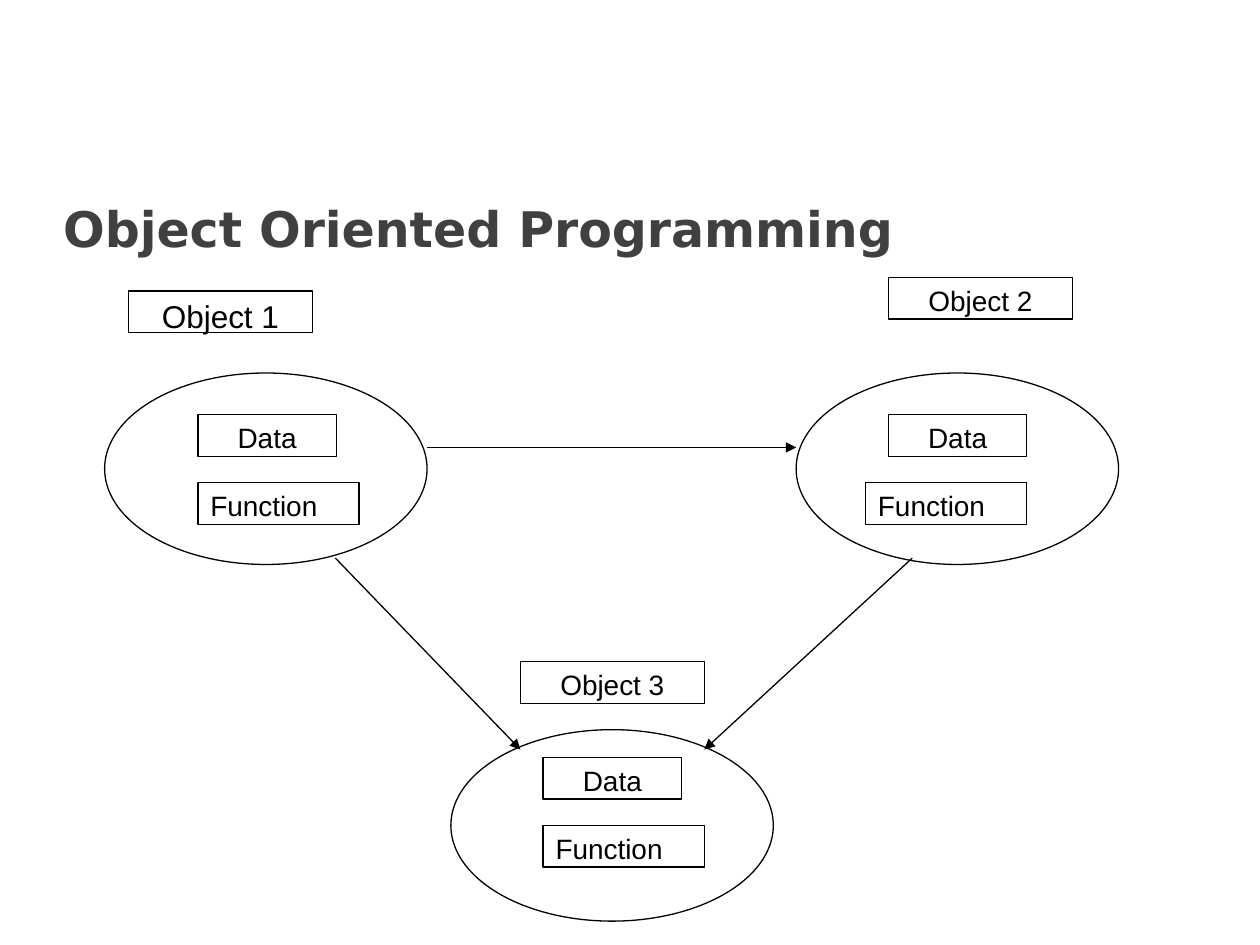
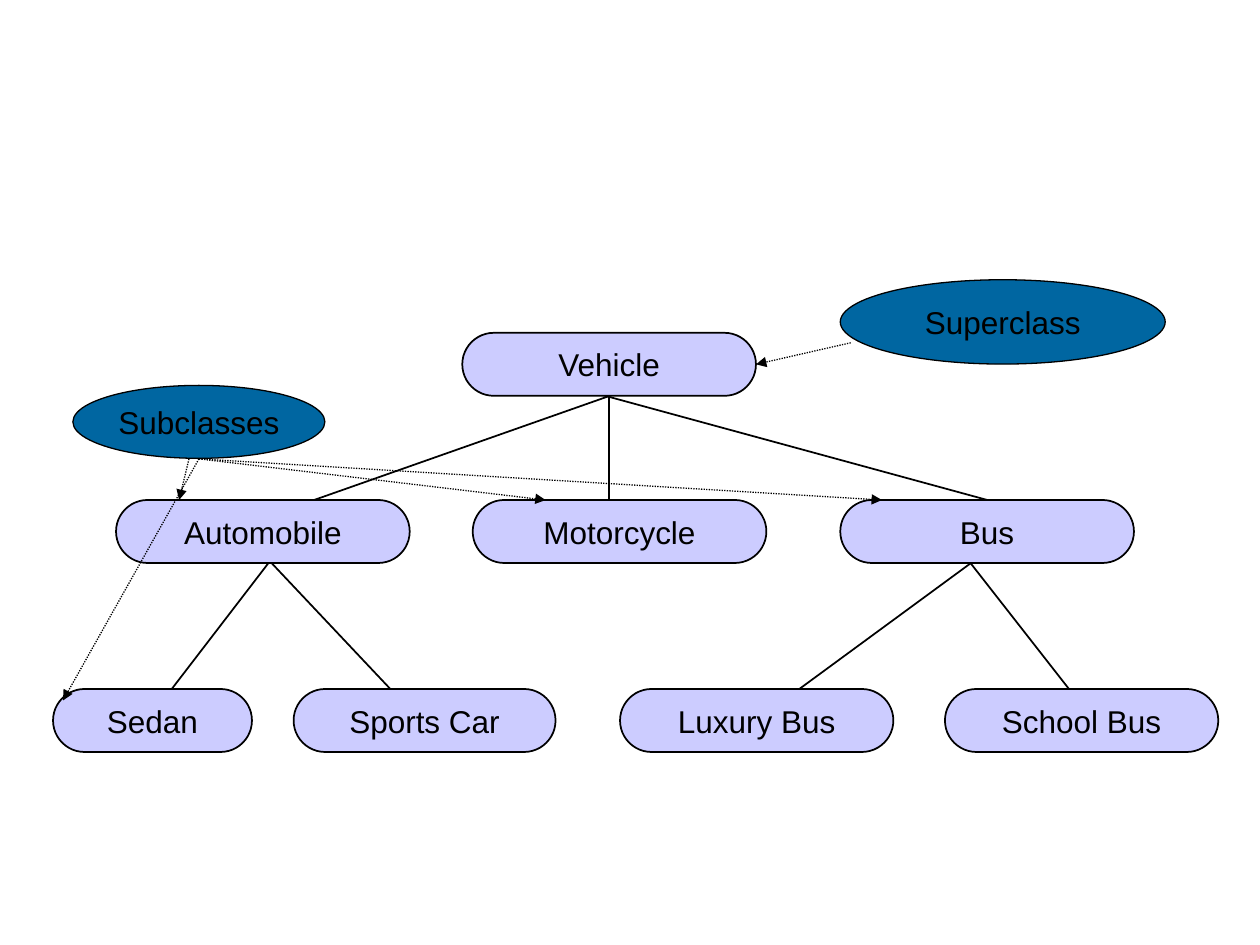
from dataclasses import dataclass

from pptx import Presentation
from pptx.dml.color import RGBColor as Rgb
from pptx.enum.dml import MSO_LINE_DASH_STYLE as Dash
from pptx.enum.shapes import MSO_CONNECTOR as Conn, MSO_SHAPE as Kind
from pptx.enum.text import MSO_ANCHOR as Anchor, PP_ALIGN as Align
from pptx.oxml.ns import qn
from pptx.presentation import Presentation as Deck
from pptx.shapes.autoshape import Shape
from pptx.shapes.connector import Connector
from pptx.slide import Slide
from pptx.text.text import TextFrame
from pptx.util import Cm, Pt
from lxml.etree import SubElement

COLORS = {"paper": "FFFFFF", "ink": "000000", "title": "404040",
          "class": "CCCCFF", "role": "0066A1"}
THIN, BOLD = 0.75, 1.0


@dataclass
class Node:
    """A labelled shape, in centimetres."""
    text: str
    left: float
    top: float
    width: float
    height: float
    kind: Kind = Kind.RECTANGLE
    fill: str = "paper"
    line: float = THIN
    size: int = 16
    align: Align = Align.CENTER
    anchor: Anchor = Anchor.TOP
    wrap: bool = True


@dataclass
class Link:
    """A straight line between two points, in centimetres."""
    start: tuple[float, float]
    end: tuple[float, float]
    line: float = THIN
    arrow: bool = True
    dotted: bool = False


@dataclass
class Thing:
    """An object: its label, its ellipse and the two boxes inside."""
    name: str
    label: tuple[float, float]
    oval: tuple[float, float]
    data: tuple[float, float]
    func: tuple[float, float]
    size: int = 16


def color(name: str) -> Rgb:
    return Rgb.from_string(COLORS[name])


def write(frame: TextFrame, text: str, *, size: int, font: str = "Arial",
          ink: str = "ink", bold: bool = False, align: Align = Align.LEFT,
          anchor: Anchor = Anchor.MIDDLE, wrap: bool = True) -> None:
    frame.word_wrap = wrap
    frame.vertical_anchor = anchor
    para = frame.paragraphs[0]
    para.alignment = align
    run = para.add_run()
    run.text = text
    run.font.name, run.font.size, run.font.bold = font, Pt(size), bold
    run.font.color.rgb = color(ink)


def draw_node(slide: Slide, node: Node) -> Shape:
    shape = slide.shapes.add_shape(node.kind, Cm(node.left), Cm(node.top),
                                   Cm(node.width), Cm(node.height))
    shape.shadow.inherit = False
    shape.fill.solid()
    shape.fill.fore_color.rgb = color(node.fill)
    shape.line.color.rgb = color("ink")
    shape.line.width = Pt(node.line)
    if node.kind == Kind.ROUNDED_RECTANGLE:
        shape.adjustments[0] = 0.5
    if node.text:
        write(shape.text_frame, node.text, size=node.size, align=node.align,
              anchor=node.anchor, wrap=node.wrap)
    return shape


def draw_link(slide: Slide, link: Link) -> Connector:
    ends = [Cm(value) for value in (*link.start, *link.end)]
    wire = slide.shapes.add_connector(Conn.STRAIGHT, *ends)
    wire.line.color.rgb = color("ink")
    wire.line.width = Pt(link.line)
    if link.dotted:
        wire.line.dash_style = Dash.ROUND_DOT
    if link.arrow:
        SubElement(wire.get_or_add_ln(), qn("a:tailEnd"), type="triangle")
    SubElement(wire.element.spPr, qn("a:effectLst"))
    return wire


def draw_thing(slide: Slide, thing: Thing) -> None:
    draw_node(slide, Node(thing.name, *thing.label, 3.71, 0.84,
                          size=thing.size))
    draw_node(slide, Node("", *thing.oval, 6.5, 3.86, Kind.OVAL))
    draw_node(slide, Node("Data", *thing.data, 2.79, 0.84))
    draw_node(slide, Node("Function", *thing.func, 3.25, 0.84,
                          align=Align.LEFT))


def class_node(text: str, left: float, top: float, width: float) -> Node:
    return Node(text, left, top, width, 1.27, Kind.ROUNDED_RECTANGLE, "class",
                BOLD, 18, anchor=Anchor.MIDDLE, wrap=False)


def role_node(text: str, left: float, top: float, width: float,
              height: float) -> Node:
    return Node(text, left, top, width, height, Kind.OVAL, "role",
                size=18, anchor=Anchor.MIDDLE, wrap=False)


# Objects that send messages to each other
THINGS = [
    Thing("Object 1", (2.59, 5.87), (2.11, 7.52), (3.99, 8.36), (3.99, 9.73),
          size=18),
    Thing("Object 2", (17.91, 5.59), (16.05, 7.52), (17.91, 8.36),
          (17.45, 9.73)),
    Thing("Object 3", (10.49, 13.34), (9.09, 14.71), (10.95, 15.27),
          (10.95, 16.64)),
]
CALLS = [
    Link((8.61, 9.02), (16.05, 9.02)),
    Link((18.39, 11.25), (14.2, 15.11)),
    Link((6.76, 11.25), (10.49, 15.11)),
]

# Class tree: rows of classes and the branches behind them
MID, LOW, WIDE = 10.08, 13.89, 5.92
CLASSES = [
    class_node("Automobile", 2.34, MID, WIDE),
    class_node("Motorcycle", 9.53, MID, WIDE),
    class_node("Bus", 16.94, MID, WIDE),
    class_node("Sedan", 1.07, LOW, 4.01),
    class_node("Sports Car", 5.92, LOW, 5.28),
    class_node("Luxury Bus", 12.5, LOW, 5.51),
    class_node("School Bus", 19.05, LOW, 5.51),
]
BRANCHES = [
    ((13.54, 7.54), (5.08, 10.52)),
    ((12.27, 7.34), (12.27, 10.95)),
    ((10.59, 7.54), (20.75, 10.31)),
    ((5.72, 10.95), (2.97, 14.53)),
    ((4.88, 10.72), (8.69, 14.76)),
    ((20.12, 10.95), (15.24, 14.53)),
    ((19.25, 10.95), (22.23, 14.76)),
]
SUB = (4.01, 9.25)
HINTS = [((3.81, 9.25), (3.61, MID)), (SUB, (11, MID)),
         (SUB, (17.78, MID)), (SUB, (1.27, 14.12))]


def object_slide(deck: Deck) -> None:
    slide = deck.slides.add_slide(deck.slide_layouts[5])
    title = slide.shapes.title
    title.left, title.top = Cm(1.02), Cm(3.71)
    title.width, title.height = Cm(23.14), Cm(1.78)
    write(title.text_frame, "Object Oriented Programming", size=28,
          font="DejaVu Sans", ink="title", bold=True)
    for thing in THINGS:
        draw_thing(slide, thing)
    for call in CALLS:
        draw_link(slide, call)


def class_slide(deck: Deck) -> None:
    slide = deck.slides.add_slide(deck.slide_layouts[6])
    for start, end in BRANCHES:
        draw_link(slide, Link(start, end, BOLD, arrow=False))
    root = draw_node(slide, class_node("Vehicle", 9.32, 6.71, WIDE))
    for node in CLASSES:
        draw_node(slide, node)

    # Roles and their dotted pointers
    draw_node(slide, role_node("Superclass", 16.94, 5.64, 6.55, 1.7))
    hint = draw_link(slide, Link((17.15, 6.91), (15.24, 7.34), dotted=True))
    hint.end_connect(root, 3)
    draw_node(slide, role_node("Subclasses", 1.47, 7.77, 5.08, 1.47))
    for start, end in HINTS:
        draw_link(slide, Link(start, end, dotted=True))


def main() -> None:
    deck = Presentation()
    deck.slide_width, deck.slide_height = Cm(25.4), Cm(19.05)
    object_slide(deck)
    class_slide(deck)
    deck.save("out.pptx")


if __name__ == "__main__":
    main()
